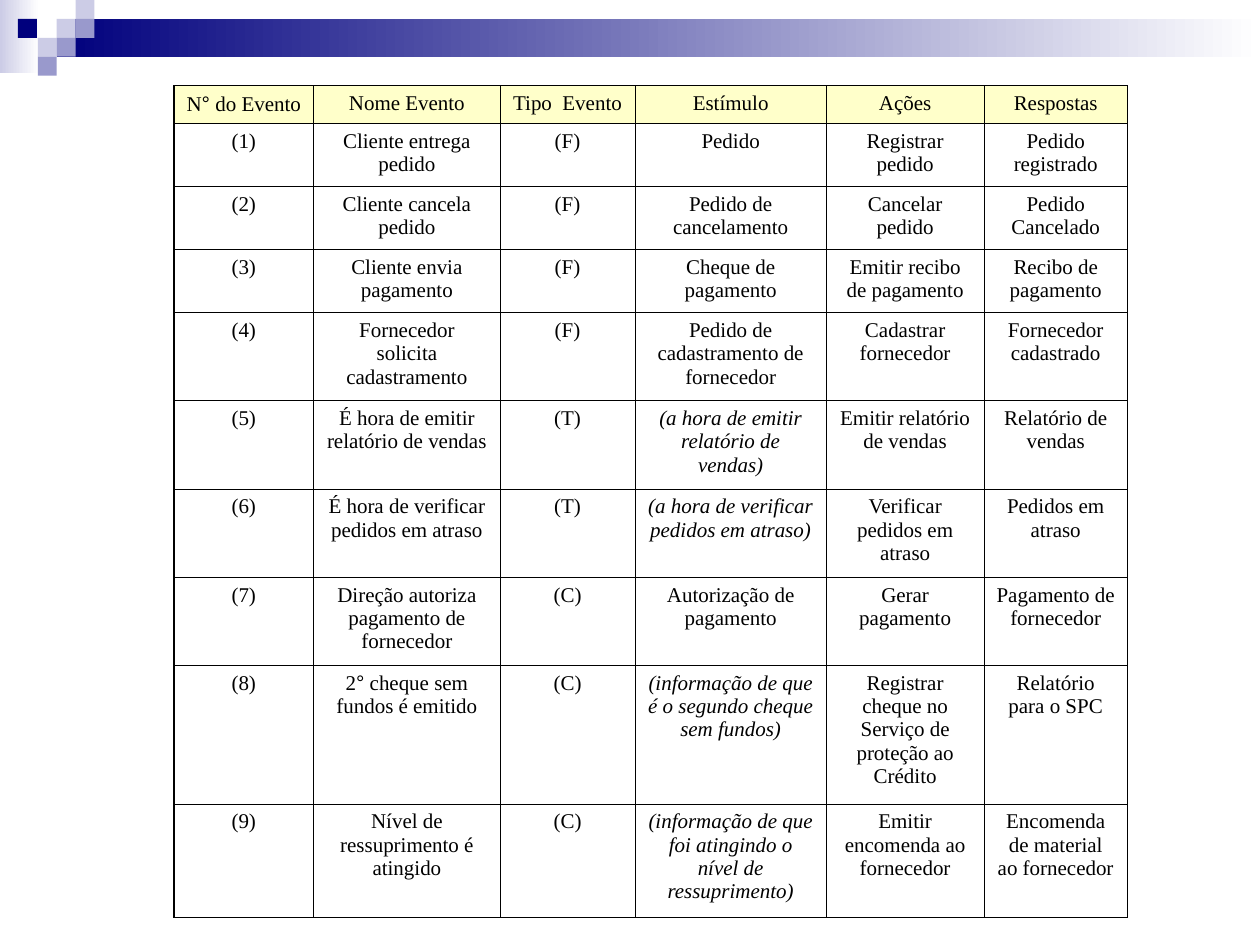
from lxml.etree import SubElement
from pptx import Presentation
from pptx.dml.color import RGBColor as RGB
from pptx.enum.shapes import MSO_SHAPE as SHAPE
from pptx.enum.text import PP_ALIGN as ALIGN
from pptx.oxml.ns import qn
from pptx.util import Inches, Pt

COLORS = {"navy": "00007D", "violet": "9999CC", "lilac": "CCCCE6",
          "cream": "FFFFCA", "white": "FFFFFF", "black": "000000"}
SQUARES = [(3, 1, "lilac"), (4, 0, "lilac"), (4, 1, "violet"), (2, 2, "lilac"),
           (0.95, 1, "navy"), (3, 2, "violet"), (2, 3, "violet")]
COL_WIDTHS = [1.11, 1.48, 1.07, 1.52, 1.25, 1.14]
ROW_HEIGHTS = [0.3] + [0.5] * 3 + [0.7] * 4 + [1.1, 0.9]
HEADER = ("N° do Evento", "Nome Evento", "Tipo  Evento", "Estímulo", "Ações", "Respostas")
EVENTS = [
    ("Cliente entrega pedido", "(F)", "Pedido", "Registrar pedido", "Pedido registrado"),
    ("Cliente cancela pedido", "(F)", "Pedido de cancelamento", "Cancelar pedido",
     "Pedido Cancelado"),
    ("Cliente envia pagamento", "(F)", "Cheque de pagamento", "Emitir recibo de pagamento",
     "Recibo de pagamento"),
    ("Fornecedor solicita cadastramento", "(F)", "Pedido de cadastramento de fornecedor",
     "Cadastrar fornecedor", "Fornecedor cadastrado"),
    ("É hora de emitir relatório de vendas", "(T)", "(a hora de emitir relatório de vendas)",
     "Emitir relatório de vendas", "Relatório de vendas"),
    ("É hora de verificar pedidos em atraso", "(T)", "(a hora de verificar pedidos em atraso)",
     "Verificar pedidos em atraso", "Pedidos em atraso"),
    ("Direção autoriza pagamento de fornecedor", "(C)", "Autorização de pagamento",
     "Gerar pagamento", "Pagamento de fornecedor"),
    ("2° cheque sem fundos é emitido", "(C)",
     "(informação de que é o segundo cheque sem fundos)",
     "Registrar cheque no Serviço de proteção ao Crédito", "Relatório para o SPC"),
    ("Nível de ressuprimento é atingido", "(C)",
     "(informação de que foi atingindo o nível de ressuprimento)",
     "Emitir encomenda ao fornecedor", "Encomenda de material ao fornecedor"),
]


class Deck:
    """Holds the style and the current slide, and draws each kind of element."""

    unit = 0.15
    font = {"name": "Times New Roman", "size": Pt(12), "italic": False}
    margins = {"margin_left": 0.1, "margin_right": 0.1, "margin_top": 0.05, "margin_bottom": 0.05}
    thin, medium, thick = 0.34, 0.45, 0.96

    def __init__(self):
        self.prs = Presentation()
        self.prs.slide_width, self.prs.slide_height = Inches(10), Inches(7.5)
        self.s = self.prs.slides.add_slide(self.prs.slide_layouts[6])

    def color(self, name):
        return RGB.from_string(COLORS[name])

    def block(self, col, row, cols, rows, *colors):
        box = [Inches(n * self.unit) for n in (col, row, cols, rows)]
        sp = self.s.shapes.add_shape(SHAPE.RECTANGLE, *box)
        sp.shadow.inherit = False
        sp.line.fill.background()
        if len(colors) == 1:
            sp.fill.solid()
            sp.fill.fore_color.rgb = self.color(colors[0])
            return
        sp.fill.gradient()
        sp.fill.gradient_angle = 0
        for position, (stop, name) in enumerate(zip(sp.fill.gradient_stops, colors)):
            stop.position = position
            stop.color.rgb = self.color(name)

    def border(self, cell, **widths):
        for side, width in widths.items():
            ln = SubElement(cell._tc.get_or_add_tcPr(), qn(f"a:ln{side}"), w=str(Pt(width)))
            fill = SubElement(ln, qn("a:solidFill"))
            SubElement(fill, qn("a:srgbClr"), val=COLORS["black"])

    def cell_text(self, cell, text, **changes):
        for key, value in self.margins.items():
            setattr(cell, key, Inches(value))
        p = cell.text_frame.paragraphs[0]
        p.alignment = ALIGN.CENTER
        for part in filter(None, text.partition("°")):
            r = p.add_run()
            r.text = part
            r.font.color.rgb = self.color("black")
            face = {"name": "Arial"} if part == "°" else {}
            for key, value in {**self.font, **changes, **face}.items():
                setattr(r.font, key, value)

    def table(self, x, y, col_widths, row_heights, rows):
        size = [Inches(n) for n in (x, y, sum(col_widths), sum(row_heights))]
        tb = self.s.shapes.add_table(len(rows), len(col_widths), *size).table
        tb.first_row = tb.horz_banding = False
        for column, width in zip(tb.columns, col_widths):
            column.width = Inches(width)
        for row, height in zip(tb.rows, row_heights):
            row.height = Inches(height)
        last_row, last_col = len(rows) - 1, len(col_widths) - 1
        for i, texts in enumerate(rows):
            for j, text in enumerate(texts):
                cell = tb.cell(i, j)
                self.cell_text(cell, text, italic=j == 3 and text.startswith("("))
                self.border(cell,
                            L=self.thick if j == 0 else self.medium,
                            R=self.thick if j == last_col else self.medium,
                            T=self.medium if i < 2 else self.thin,
                            B=self.medium if i in (0, last_row) else self.thin)
                if i == 0:
                    cell.fill.solid()
                    cell.fill.fore_color.rgb = self.color("cream")
                else:
                    cell.fill.background()


def main():
    deck = Deck()
    deck.block(0, 0, 2.07, 3.87, "lilac", "white")
    deck.block(3, 1, 63.67, 2, "navy", "white")
    for col, row, name in SQUARES:
        deck.block(col, row, 1, 1, name)
    rows = [HEADER] + [(f"({n})", *event) for n, event in enumerate(EVENTS, 1)]
    deck.table(1.38, 0.68, COL_WIDTHS, ROW_HEIGHTS, rows)
    deck.prs.save("out.pptx")


if __name__ == "__main__":
    main()
